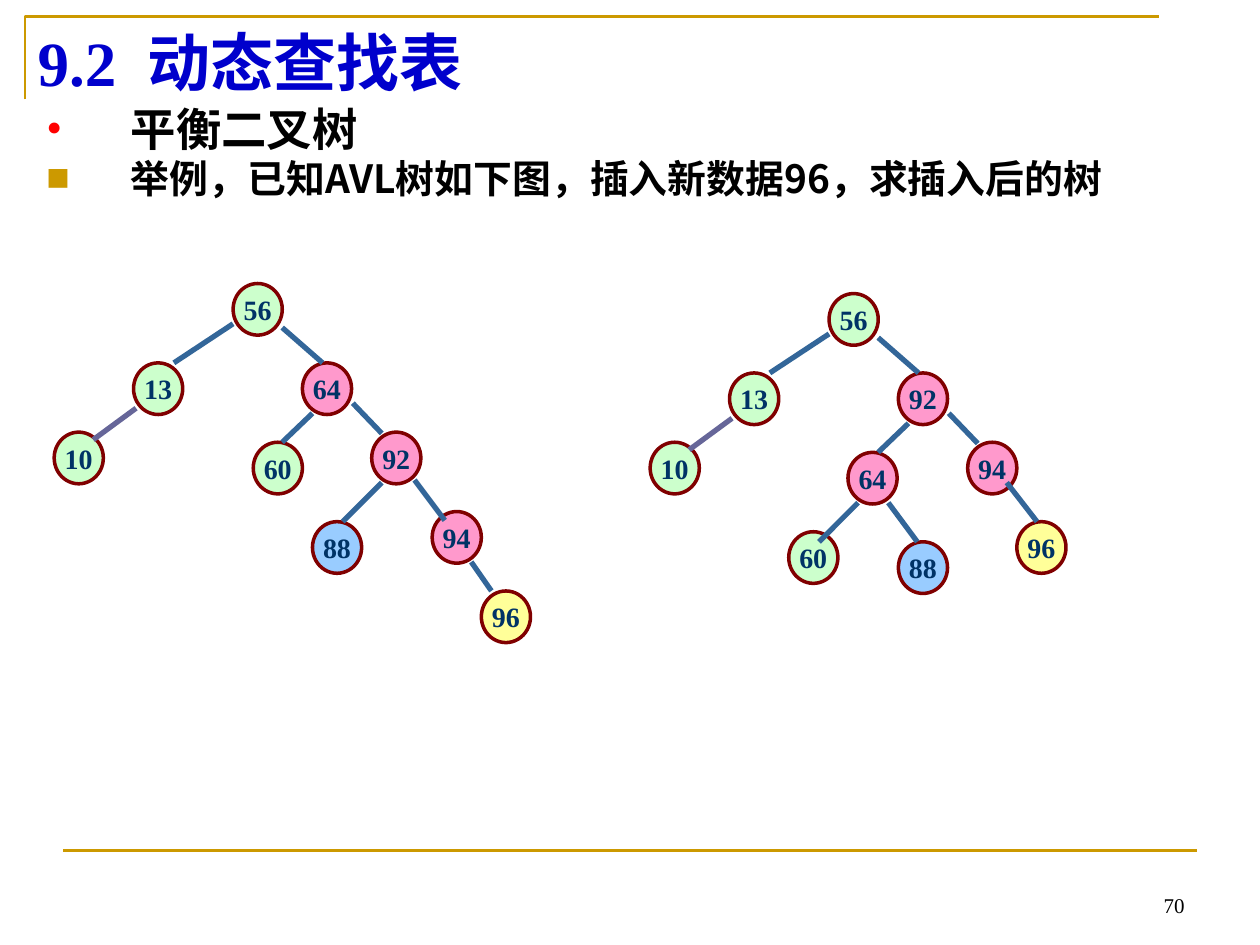
from lxml.etree import SubElement
from pptx import Presentation
from pptx.dml.color import RGBColor
from pptx.enum.shapes import MSO_CONNECTOR as CONN, MSO_SHAPE as SHAPE
from pptx.enum.text import MSO_ANCHOR as ANCHOR, PP_ALIGN as ALIGN
from pptx.oxml.ns import qn
from pptx.util import Inches, Pt

SERIF, CJK = "Times New Roman", "Noto Sans CJK SC"
GOLD, BLUE, PURPLE = "CC9900", "336699", "666699"
GREEN, PINK, SKY, YELLOW = "CCFFCC", "FF99CC", "99CCFF", "FFFF99"

TOP_EDGES = [
    (1.42, 0.32, 0.95, 0.63, BLUE),
    (0.65, 0.99, 0.31, 1.24, PURPLE),
    (1.81, 0.35, 2.13, 0.63, BLUE),
    (2.05, 1.03, 1.81, 1.26, BLUE),
    (2.37, 0.95, 2.6, 1.19, BLUE),
]
TOP_NODES = [("56", 1.42, 0, GREEN), ("13", 0.63, 0.63, GREEN), ("10", 0, 1.18, GREEN)]

BEFORE_NODES = TOP_NODES + [
    ("64", 1.97, 0.63, PINK),
    ("60", 1.58, 1.26, GREEN),
    ("92", 2.52, 1.18, PINK),
    ("88", 2.05, 1.89, SKY),
    ("94", 3, 1.81, PINK),
    ("96", 3.39, 2.44, YELLOW),
]
BEFORE_EDGES = TOP_EDGES + [
    (2.6, 1.58, 2.29, 1.89, BLUE),
    (2.86, 1.56, 3.1, 1.88, BLUE),
    (3.31, 2.21, 3.47, 2.44, BLUE),
]
AFTER_NODES = TOP_NODES + [
    ("92", 1.97, 0.63, PINK),
    ("64", 1.57, 1.26, PINK),
    ("94", 2.52, 1.18, PINK),
    ("60", 1.1, 1.89, GREEN),
    ("88", 1.97, 1.97, SKY),
    ("96", 2.91, 1.81, YELLOW),
]
AFTER_EDGES = TOP_EDGES + [
    (1.65, 1.66, 1.34, 1.97, BLUE),
    (1.89, 1.66, 2.12, 1.97, BLUE),
    (2.83, 1.5, 3.07, 1.81, BLUE),
]


def rgb(value):
    return RGBColor.from_string(value)


def add_run(p, text, size, color, font=SERIF, bold=True):
    r = p.add_run()
    r.text = text
    r.font.size = Pt(size)
    r.font.name = font
    r.font.bold = bold
    r.font.color.rgb = rgb(color)
    SubElement(r._r.get_or_add_rPr(), qn("a:ea")).set("typeface", CJK)
    return r


def add_line(s, x1, y1, x2, y2, color, width):
    line = s.shapes.add_connector(CONN.STRAIGHT, Inches(x1), Inches(y1), Inches(x2), Inches(y2))
    line.line.color.rgb = rgb(color)
    line.line.width = Pt(width)
    SubElement(line._element.spPr, qn("a:effectLst"))


def add_text_box(s, left, top, width, height, anchor):
    box = s.shapes.add_textbox(Inches(left), Inches(top), Inches(width), Inches(height))
    tf = box.text_frame
    tf.word_wrap = True
    tf.vertical_anchor = anchor
    return tf


def set_bullet(p, char, color):
    pPr = p._p.get_or_add_pPr()
    pPr.set("marL", str(Inches(0.67)))
    pPr.set("indent", str(-Inches(0.67)))
    clr = SubElement(pPr, qn("a:buClr"))
    SubElement(clr, qn("a:srgbClr")).set("val", color)
    SubElement(pPr, qn("a:buFont")).set("typeface", SERIF)
    SubElement(pPr, qn("a:buChar")).set("char", char)


def add_title(s, left, top, width, height):
    fb = s.shapes.build_freeform(Inches(left), Inches(top + 0.66))
    fb.add_line_segments(
        [(Inches(left), Inches(top)), (Inches(left + width), Inches(top))], close=False
    )
    frame = fb.convert_to_shape()
    frame.shadow.inherit = False
    frame.fill.background()
    frame.line.color.rgb = rgb(GOLD)
    frame.line.width = Pt(1.5)

    tf = add_text_box(s, left, top, width, height, ANCHOR.MIDDLE)
    p = tf.paragraphs[0]
    add_run(p, "9.2", 36, "0000CC")
    gap = add_run(p, " ", 36, "0000CC")
    gap.font._element.set("spc", "900")
    add_run(p, "动态查找表", 36, "0000CC")


def add_body(s, left, top, width, height):
    tf = add_text_box(s, left, top, width, height, ANCHOR.TOP)
    items = [
        ("•", "FF0000", "平衡二叉树", 25.9),
        ("■", GOLD, "举例，已知AVL树如下图，插入新数据96，求插入后的树", 22.2),
    ]
    for i, (char, color, text, size) in enumerate(items):
        p = tf.add_paragraph() if i else tf.paragraphs[0]
        p.line_spacing = 0.8
        if i:
            p.space_before = Pt(4.5)
        set_bullet(p, char, color)
        add_run(p, text, size, "000000", CJK)


def add_node(s, left, top, text, color):
    sp = s.shapes.add_shape(SHAPE.OVAL, Inches(left), Inches(top), Inches(0.39), Inches(0.41))
    sp.shadow.inherit = False
    sp.fill.solid()
    sp.fill.fore_color.rgb = rgb(color)
    sp.line.color.rgb = rgb("800000")
    sp.line.width = Pt(2)
    tf = sp.text_frame
    tf.word_wrap = False
    tf.vertical_anchor = ANCHOR.MIDDLE
    p = tf.paragraphs[0]
    p.alignment = ALIGN.CENTER
    add_run(p, text, 16, "003366")


def add_tree(s, left, top, nodes, edges):
    for text, x, y, color in nodes:
        add_node(s, left + x, top + y, text, color)
    for x1, y1, x2, y2, color in edges:
        add_line(s, left + x1, top + y1, left + x2, top + y2, color, 3)


def add_footer(s, left, top, width, height):
    add_line(s, left, top, left + width, top, GOLD, 1.5)
    tf = add_text_box(s, left + width - 2.33, top + 0.08, 2.33, height, ANCHOR.BOTTOM)
    p = tf.paragraphs[0]
    p.alignment = ALIGN.RIGHT
    add_run(p, "70", 12, "000000", bold=False)


def main():
    prs = Presentation()
    prs.slide_width, prs.slide_height = Inches(10), Inches(7.5)
    s = prs.slides.add_slide(prs.slide_layouts[6])
    add_footer(s, 0.5, 6.75, 9, 0.5)
    add_body(s, 0.27, 0.84, 9.21, 1.18)
    add_title(s, 0.2, 0.13, 9, 0.71)
    add_tree(s, 0.43, 2.25, BEFORE_NODES, BEFORE_EDGES)
    add_tree(s, 5.16, 2.33, AFTER_NODES, AFTER_EDGES)
    prs.save("out.pptx")


if __name__ == "__main__":
    main()
